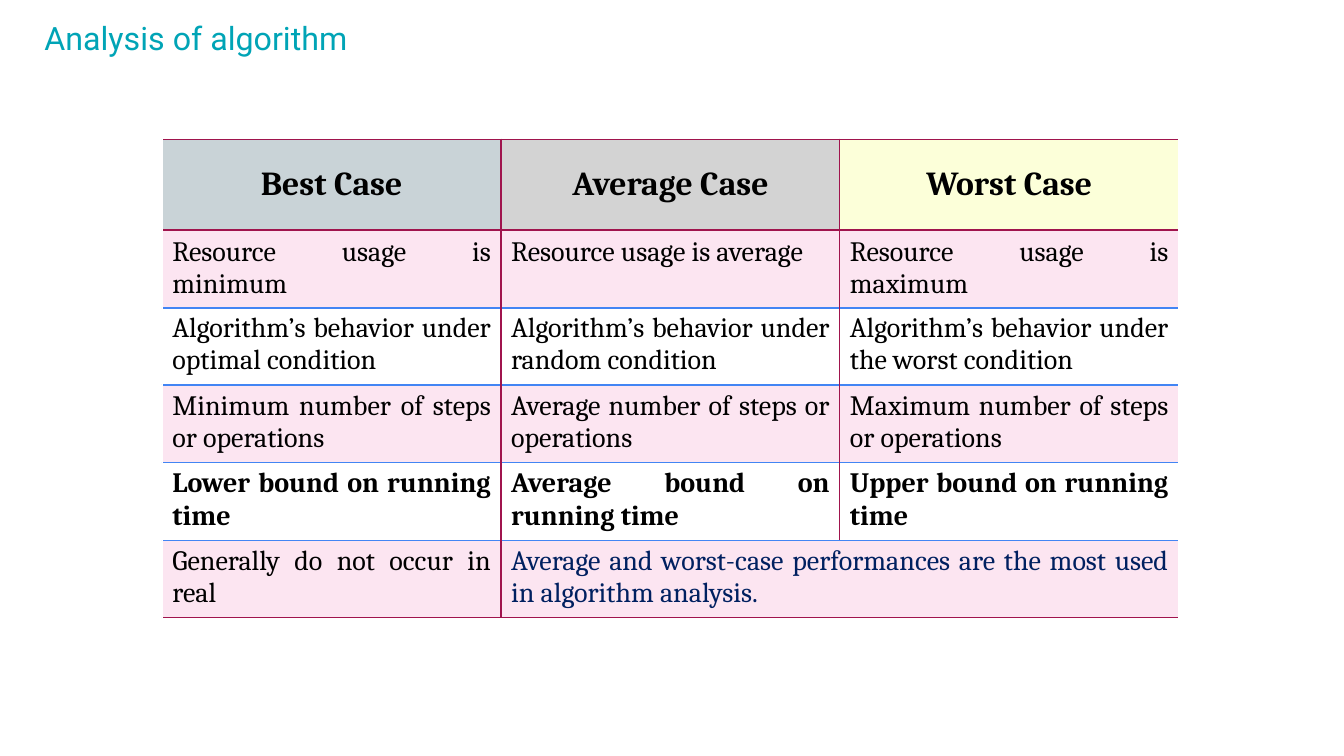
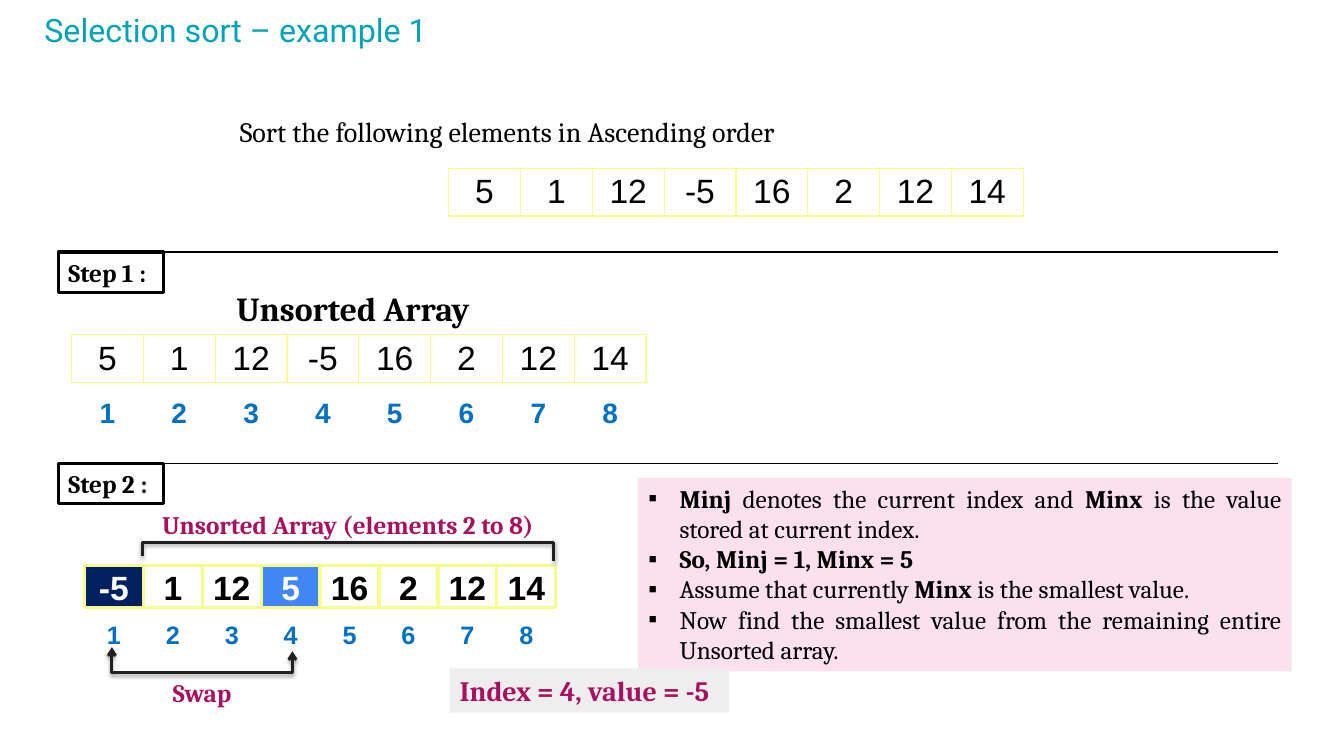
from lxml import etree
from pptx import Presentation
from pptx.dml import color
from pptx.enum import shapes, text
from pptx.oxml import ns
from pptx.util import Inches, Pt

rgb = color.RGBColor.from_string
BLACK, WHITE, TEAL, NAVY, BLUE = "000000", "FFFFFF", "00A4B6", "002060", "4285F4"
INDEX, YELLOW, WINE, MAGENTA = "0070C0", "F5FF8D", "A0144D", "A71160"
PINK, NOTE, GREY, DARK = "F27EBB", "FCE0EE", "EEEEEE", "212121"
LEFT, CENTER, JUSTIFY = text.PP_ALIGN.LEFT, text.PP_ALIGN.CENTER, text.PP_ALIGN.JUSTIFY
TOP, MIDDLE = text.MSO_ANCHOR.TOP, text.MSO_ANCHOR.MIDDLE


def write(frame, lines, size, ink=BLACK, align=LEFT, name="Cambria", bold=False):
    for number, line in enumerate(lines):
        para = frame.add_paragraph() if number else frame.paragraphs[0]
        para.alignment = align
        for turn, part in enumerate(line.split("*")):
            if part:
                span = para.add_run()
                span.text = part
                format_values = {"name": name, "size": Pt(size), "bold": bold or turn % 2 == 1}
                for key, value in format_values.items():
                    setattr(span.font, key, value)
                span.font.color.rgb = rgb(ink)


def dress(cell, fill, edges):
    properties = cell._tc.get_or_add_tcPr()
    for side in "LRTB":
        if edges.get(side):
            edge = etree.SubElement(properties, ns.qn("a:ln" + side), w=str(Pt(1)))
            solid = etree.SubElement(edge, ns.qn("a:solidFill"))
            etree.SubElement(solid, ns.qn("a:srgbClr"), val=edges[side])
    if fill:
        cell.fill.solid()
        cell.fill.fore_color.rgb = rgb(fill)
    else:
        cell.fill.background()
    if fill == PINK:
        shade = properties.find(ns.qn("a:solidFill")).find(ns.qn("a:srgbClr"))
        etree.SubElement(shade, ns.qn("a:alpha"), val="20000")


deck = Presentation()
deck.slide_width, deck.slide_height = Inches(13.33), Inches(7.5)

pages = []
for layout, heading, top in ((5, "Analysis of algorithm", 0.08), (1, "Selection sort – example 1", 0)):
    page = deck.slides.add_slide(deck.slide_layouts[layout])
    title = page.shapes.title
    title.left, title.top, title.width, title.height = map(Inches, (0.34, top, 9.32, 0.63))
    frame_values = {"word_wrap": True, "auto_size": text.MSO_AUTO_SIZE.NONE, "vertical_anchor": TOP,
                    "margin_left": Inches(0.1), "margin_right": Inches(0.1),
                    "margin_top": Inches(0.1), "margin_bottom": Inches(0.1)}
    for key, value in frame_values.items():
        setattr(title.text_frame, key, value)
    write(title.text_frame, [heading], 23, TEAL, JUSTIFY, "Roboto")
    pages.append(page)
analysis, sorting = pages

cases = [
    ("Best Case", "Average Case", "Worst Case"),
    ("Resource usage is minimum", "Resource usage is average", "Resource usage is maximum"),
    ("Algorithm’s behavior under optimal condition", "Algorithm’s behavior under random condition",
     "Algorithm’s behavior under the worst condition"),
    ("Minimum number of steps or operations", "Average number of steps or operations",
     "Maximum number of steps or operations"),
    ("Lower bound on running time", "Average bound on running time", "Upper bound on running time"),
    ("Generally do not occur in real",
     "Average and worst-case performances are the most used in algorithm analysis."),
]
header_fills = ("C9D3D7", "D3D3D3", "FCFFD9")
rules = (WINE, WINE, BLUE, BLUE, BLUE, BLUE, WINE)
tops = (1.38, 2.29, 3.05, 3.82, 4.59, 5.36)
for row, (labels, top) in enumerate(zip(cases, tops)):
    last = len(labels) - 1
    height = 0.77 if row else 0.9
    table = analysis.shapes.add_table(1, last + 1, *map(Inches, (1.61, top, 10.08, height))).table
    table.first_row = table.horz_banding = False
    for column, label in enumerate(labels):
        table.columns[column].width = Inches(6.72 if last == column == 1 else 3.36)
        cell = table.cell(0, column)
        edges = {"T": rules[row], "B": rules[row + 1],
                 "L": WINE if column else None, "R": WINE if column < last else None}
        dress(cell, (PINK if row % 2 else None) if row else header_fills[column], edges)
        cell.vertical_anchor = TOP if row else MIDDLE
        write(cell.text_frame, [label], 20 if row else 24, NAVY if last == column == 1 else BLACK,
              JUSTIFY if row else CENTER, bold=row in (0, 4))

note = sorting.placeholders[1]
note.left, note.top, note.width, note.height = map(Inches, (6.33, 4.74, 6.48, 1.92))
note.fill.solid()
note.fill.fore_color.rgb = rgb(NOTE)
note.text_frame.auto_size = text.MSO_AUTO_SIZE.NONE
write(note.text_frame, [
    "*Minj* denotes the current index and *Minx* is the value stored at current index.",
    "*So, Minj = 1, Minx = 5*",
    "Assume that currently *Minx* is the smallest value.",
    "Now find the smallest value from the remaining entire Unsorted array.",
], 18, align=JUSTIFY)
for para in note.text_frame.paragraphs:
    para.space_before = Pt(0)
    properties = para._p.get_or_add_pPr()
    properties.set("marL", str(Inches(0.31)))
    properties.set("indent", str(-Inches(0.31)))
    etree.SubElement(properties, ns.qn("a:buChar"), char="▪")

numbers = ["5", "1", "12", "-5", "16", "2", "12", "14"]
indices = [str(number) for number in range(1, 9)]
for left, top, height, labels, size, ink, edge in (
    (4.45, 1.67, 0.48, numbers, 24, BLACK, YELLOW),
    (0.71, 3.32, 0.5, numbers, 24, BLACK, YELLOW),
    (0.71, 3.9, 0.43, indices, 20, INDEX, None),
):
    grid = sorting.shapes.add_table(1, 8, *map(Inches, (left, top, 5.7, height)))
    table = grid.table
    table.first_row = table.horz_banding = False
    table.rows[0].height = Inches(0.41)
    grid.height = Inches(height)
    for column, label in enumerate(labels):
        cell = table.cell(0, column)
        dress(cell, None, dict.fromkeys("LRTB", edge))
        write(cell.text_frame, [label], size, ink, CENTER, "Arial", bold=edge is None)

for top in (2.5, 4.6):
    rule = sorting.shapes.add_connector(shapes.MSO_CONNECTOR.STRAIGHT,
                                        *map(Inches, (0.58, top, 12.68, top)))
    rule.line.color.rgb = rgb(BLACK)
    rule.line.width = Pt(0.75)
    etree.SubElement(rule._element.spPr, ns.qn("a:effectLst"))

boxes = [
    ((0.58, 2.5, 1.04, 0.4), "Step 1 :", 18, BLACK, LEFT, True, None, BLACK, 2.25),
    ((0.58, 4.6, 1.04, 0.4), "Step 2 :", 18, BLACK, LEFT, True, None, BLACK, 2.25),
    ((4.46, 6.63, 2.77, 0.44), "Index = 4, value = -5", 20, MAGENTA, LEFT, True, GREY, None, 0),
    ((2.21, 2.81, 2.58, 0.5), "Unsorted Array", 24, BLACK, CENTER, True, None, None, 0),
    ((1.41, 5, 4.08, 0.4), "Unsorted Array (elements 2 to 8)", 18, MAGENTA, CENTER, True, None, None, 0),
    ((1.51, 6.67, 0.99, 0.4), "Swap", 18, MAGENTA, CENTER, True, None, None, 0),
    ((2.28, 1.09, 6.75, 0.44), "Sort the following elements in Ascending order",
     20, BLACK, LEFT, False, None, None, 0),
]
for area, label, size, ink, align, bold, fill, outline, weight in boxes:
    if fill or outline:
        box = sorting.shapes.add_shape(shapes.MSO_SHAPE.RECTANGLE, *map(Inches, area))
        box.shadow.inherit = False
    else:
        box = sorting.shapes.add_textbox(*map(Inches, area))
    if fill:
        box.fill.solid()
        box.fill.fore_color.rgb = rgb(fill)
    else:
        box.fill.background()
    if outline:
        box.line.color.rgb = rgb(outline)
        box.line.width = Pt(weight)
    else:
        box.line.fill.background()
    box.text_frame.word_wrap = not outline
    box.text_frame.vertical_anchor = TOP
    write(box.text_frame, [label], size, ink, align, bold=bold)

swapped = ["-5", "1", "12", "5", "16", "2", "12", "14"]
highlights = {0: NAVY, 3: BLUE}
for top, labels, size in ((6.08, indices, 18), (5.61, swapped, 24)):
    for column, label in enumerate(labels):
        values_row = labels is swapped
        fill = highlights.get(column, WHITE) if values_row else WHITE
        box = sorting.shapes.add_shape(shapes.MSO_SHAPE.RECTANGLE,
                                       *map(Inches, (0.84 + column * 4.09 / 7, top, 0.58, 0.42)))
        box.shadow.inherit = False
        box.fill.solid()
        box.fill.fore_color.rgb = rgb(fill)
        if values_row:
            box.line.color.rgb = rgb(YELLOW)
            box.line.width = Pt(2)
        else:
            box.line.fill.background()
        box.text_frame.word_wrap = False
        box.text_frame.vertical_anchor = MIDDLE
        ink = (BLACK if fill == WHITE else WHITE) if values_row else INDEX
        write(box.text_frame, [label], size, ink, CENTER, "Arial", True)

for points, arrows in (
    (((5.49, 5.57), (5.49, 5.38), (1.41, 5.38), (1.41, 5.52)), ()),
    (((1.11, 6.42), (1.11, 6.67), (2.9, 6.67), (2.9, 6.46)), ("headEnd", "tailEnd")),
):
    corners = [(Inches(x), Inches(y)) for x, y in points]
    builder = sorting.shapes.build_freeform(*corners[0])
    builder.add_line_segments(corners[1:], close=False)
    bracket = builder.convert_to_shape()
    bracket.fill.background()
    bracket.line.color.rgb = rgb(DARK)
    bracket.line.width = Pt(2)
    bracket.shadow.inherit = False
    properties = bracket._element.spPr
    for end in arrows:
        etree.SubElement(properties.find(ns.qn("a:ln")), ns.qn("a:" + end), type="arrow")
    shadow = etree.SubElement(properties.find(ns.qn("a:effectLst")), ns.qn("a:outerShdw"),
                              blurRad=str(Pt(3.1)), dist=str(Pt(1.6)), dir="5400000", rotWithShape="0")
    shade = etree.SubElement(shadow, ns.qn("a:srgbClr"), val=BLACK)
    etree.SubElement(shade, ns.qn("a:alpha"), val="38000")

deck.save("out.pptx")
